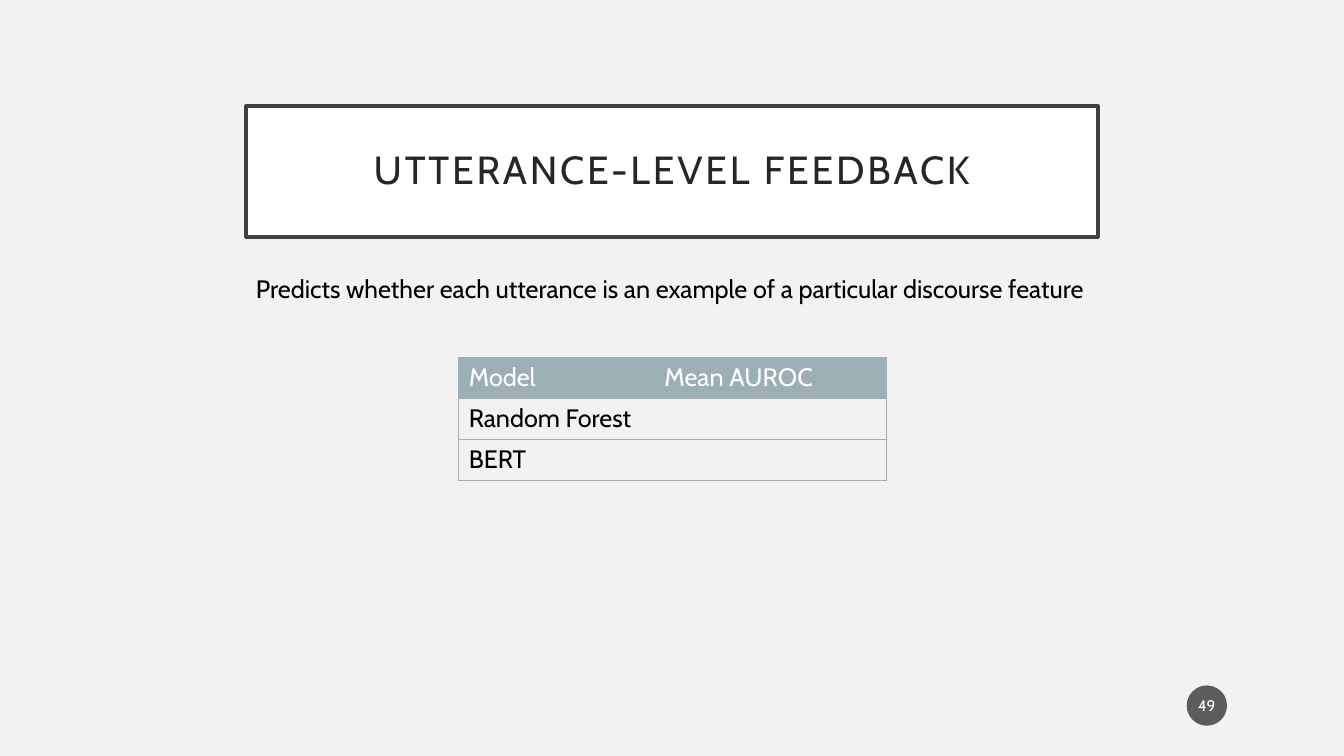
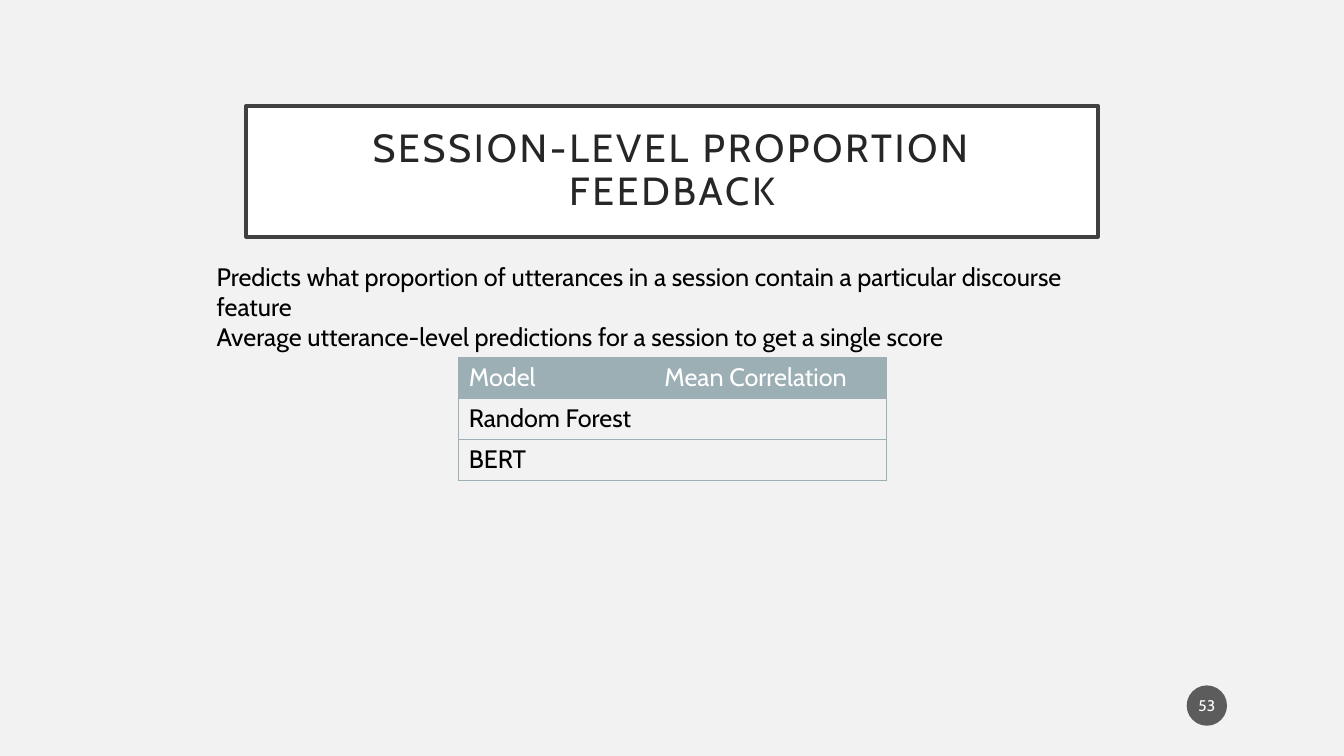
"""Build two slides on discourse feedback models, each with a small results table."""
from lxml import etree
from pptx import Presentation
from pptx.dml.color import RGBColor
from pptx.enum.shapes import MSO_SHAPE
from pptx.enum.text import MSO_ANCHOR, PP_ALIGN
from pptx.oxml.ns import qn
from pptx.util import Inches, Pt

RECT, OVAL = MSO_SHAPE.RECTANGLE, MSO_SHAPE.OVAL
CENTER, MIDDLE = PP_ALIGN.CENTER, MSO_ANCHOR.MIDDLE

FONT = "Cabin"
BACKGROUND = RGBColor(0xF2, 0xF2, 0xF2)
WHITE = RGBColor(0xFF, 0xFF, 0xFF)
BLACK = RGBColor(0x00, 0x00, 0x00)
TITLE_TEXT = RGBColor(0x26, 0x26, 0x26)
TITLE_FRAME = RGBColor(0x40, 0x40, 0x40)
TABLE_ACCENT = RGBColor(0x9B, 0xAF, 0xB5)
BADGE = RGBColor(0x1D, 0x1D, 0x1D)

COL_WIDTHS = (1.94, 2.3)
ROW_HEIGHT = 0.41


def add_run(p, text, size, color):
    r = p.add_run()
    r.text = text
    r.font.name = FONT
    r.font.size = Pt(size)
    r.font.color.rgb = color
    return r


def add_panel(slide, kind, box, fill, inset_x, inset_y):
    sp = slide.shapes.add_shape(kind, *map(Inches, box))
    sp.shadow.inherit = False
    sp.fill.solid()
    sp.fill.fore_color.rgb = fill
    sp.line.fill.background()
    tf = sp.text_frame
    tf.word_wrap = True
    tf.vertical_anchor = MIDDLE
    tf.margin_left = tf.margin_right = Inches(inset_x)
    tf.margin_top = tf.margin_bottom = Inches(inset_y)
    tf.paragraphs[0].alignment = CENTER
    return sp


def add_title(slide, text):
    sp = add_panel(slide, RECT, (2.44, 1.05, 8.45, 1.3), WHITE, 0.2, 0.2)
    sp.line.color.rgb = TITLE_FRAME
    sp.line.width = Pt(2.5)
    p = sp.text_frame.paragraphs[0]
    p.line_spacing = 0.9
    r = add_run(p, text, 28, TITLE_TEXT)
    r.font._element.set("spc", "200")


def add_page_badge(slide, number):
    sp = add_panel(slide, OVAL, (11.77, 6.8, 0.4, 0.4), BADGE, 0.02, 0.05)
    color = sp.fill._xPr.find(qn("a:solidFill"))[0]
    etree.SubElement(color, qn("a:alpha"), val="70000")
    add_run(sp.text_frame.paragraphs[0], str(number), 11, WHITE)


def add_body(slide, box, lines):
    tf = slide.shapes.add_textbox(*map(Inches, box)).text_frame
    tf.word_wrap = True
    for i, line in enumerate(lines):
        p = tf.add_paragraph() if i else tf.paragraphs[0]
        add_run(p, line, 18, BLACK)


def set_borders(cell, visible):
    tcPr = cell._tc.get_or_add_tcPr()
    for i, side in enumerate("LRTB"):
        ln = etree.Element(qn(f"a:ln{side}"), w=str(Pt(0.5)))
        if side in visible:
            fill = etree.SubElement(ln, qn("a:solidFill"))
            etree.SubElement(fill, qn("a:srgbClr"), val=str(TABLE_ACCENT))
        else:
            etree.SubElement(ln, qn("a:noFill"))
        tcPr.insert(i, ln)


def add_results_table(slide, rows):
    box = (4.55, 3.54, sum(COL_WIDTHS), ROW_HEIGHT * len(rows))
    table = slide.shapes.add_table(
        len(rows), len(COL_WIDTHS), *map(Inches, box)).table
    table.horz_banding = False
    for column, width in zip(table.columns, COL_WIDTHS):
        column.width = Inches(width)
    for i, row in enumerate(rows):
        table.rows[i].height = Inches(ROW_HEIGHT)
        for j, text in enumerate(row):
            cell = table.cell(i, j)
            if i == 0:
                cell.fill.solid()
                cell.fill.fore_color.rgb = TABLE_ACCENT
            else:
                cell.fill.background()
            set_borders(cell, "TBL" if j == 0 else "TBR")
            if text:
                p = cell.text_frame.paragraphs[0]
                r = add_run(p, text, 18, BLACK if i else WHITE)
                r.font.bold = False


def add_feedback_slide(prs, title, body_box, lines, metric, number):
    slide = prs.slides.add_slide(prs.slide_layouts[6])
    slide.background.fill.solid()
    slide.background.fill.fore_color.rgb = BACKGROUND
    add_title(slide, title)
    add_body(slide, body_box, lines)
    add_results_table(
        slide, [("Model", metric), ("Random Forest", ""), ("BERT", "")])
    add_page_badge(slide, number)


def main():
    prs = Presentation()
    prs.slide_width, prs.slide_height = Inches(13.33), Inches(7.5)
    add_feedback_slide(
        prs, "UTTERANCE-LEVEL FEEDBACK", (2.44, 2.66, 8.45, 0.4),
        ["Predicts whether each utterance is an example of a particular "
         "discourse feature"],
        "Mean AUROC", 49)
    add_feedback_slide(
        prs, "SESSION-LEVEL PROPORTION FEEDBACK", (2.05, 2.54, 9.24, 0.71),
        ["Predicts what proportion of utterances in a session contain a "
         "particular discourse feature",
         "Average utterance-level predictions for a session to get a single "
         "score"],
        "Mean Correlation", 53)
    prs.save("out.pptx")


if __name__ == "__main__":
    main()
